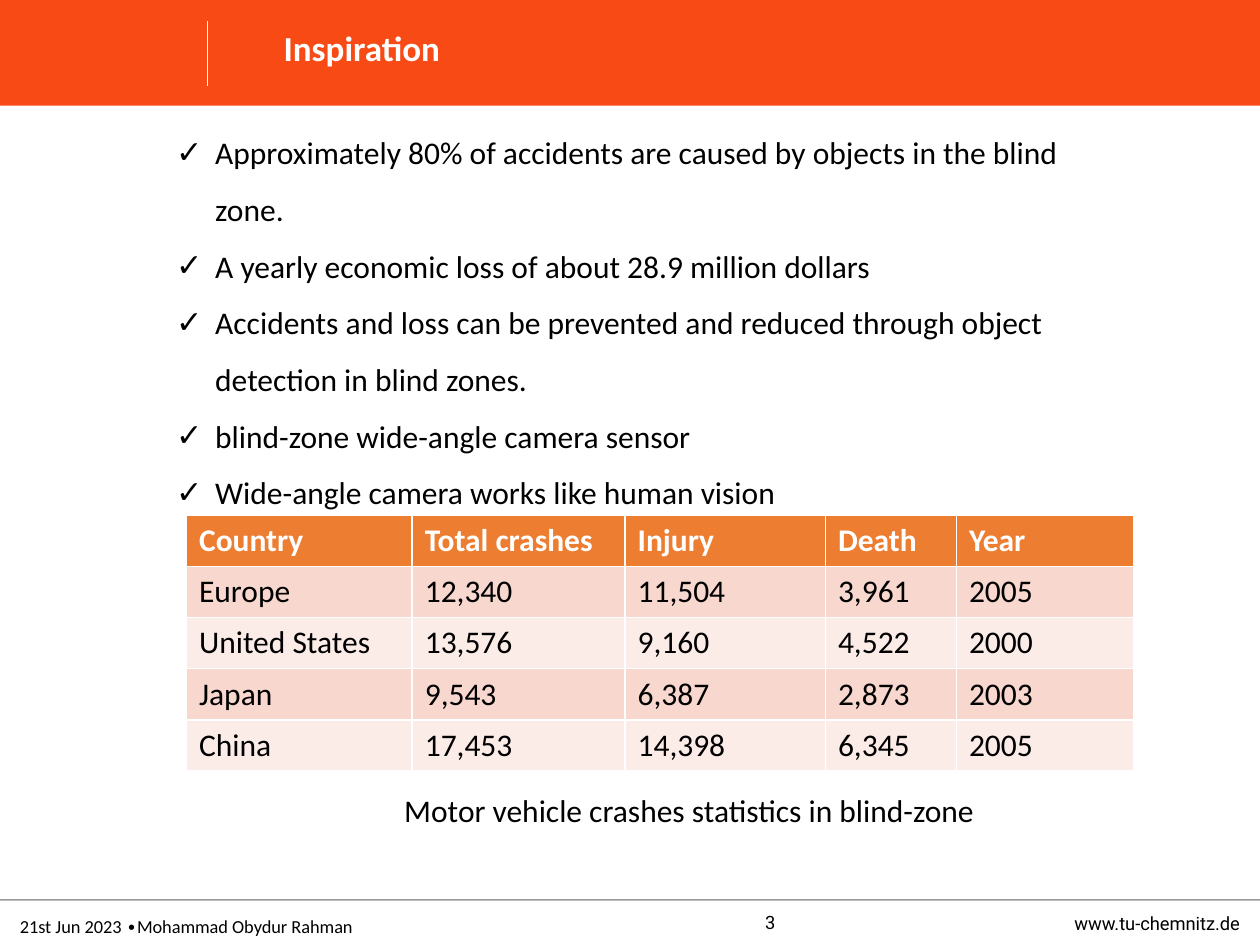
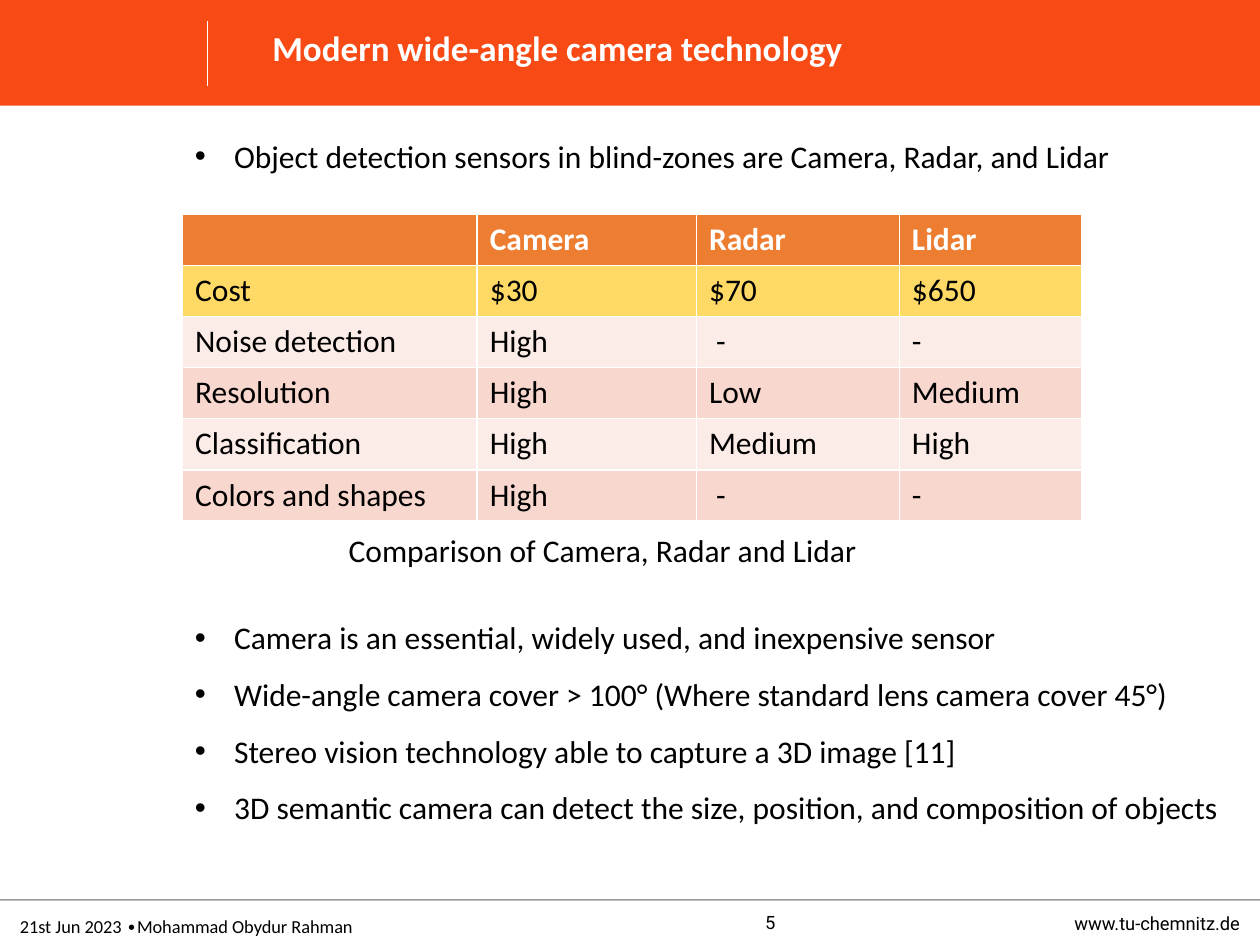
"""Two slides on blind-zone accidents and wide-angle camera technology."""
from lxml.etree import SubElement as Sub
from pptx import Presentation
from pptx.dml.color import RGBColor
from pptx.enum.shapes import MSO_CONNECTOR as CONN, MSO_SHAPE as SHAPE
from pptx.enum.text import MSO_ANCHOR as ANCHOR, PP_ALIGN as ALIGN
from pptx.oxml.ns import qn
from pptx.util import Cm, Pt

BAND = RGBColor(0xF8, 0x4A, 0x14)
HEADER = RGBColor(0xED, 0x7D, 0x31)
DARK_ROW = RGBColor(0xF8, 0xD7, 0xCE)
LIGHT_ROW = RGBColor(0xFC, 0xEC, 0xE8)
YELLOW = RGBColor(0xFF, 0xD9, 0x66)
BLACK = RGBColor(0, 0, 0)
WHITE = RGBColor(0xFF, 0xFF, 0xFF)

FOOTERS = [
    ("www.tu-chemnitz.de", (17.2, 18.14, 7.8, 0.93), "Roboto", ALIGN.RIGHT),
    (None, (9.7, 18.14, 11.66, 0.91), "Roboto", ALIGN.CENTER),
    ("21st Jun 2023 ∙Mohammad Obydur Rahman", (0.4, 18.21, 12, 0.93), "Calibri", ALIGN.LEFT),
]
RULES = [((0, 18.14, 25.4, 18.14), BLACK, 1, 40), ((4.19, 0.43, 4.19, 1.73), WHITE, 0.5, 100)]

SLIDES = [
    {
        "number": "3",
        "title": ("Inspiration", 6.05),
        "bullets": [
            ("✓", (3.3, 2.18, 19.08, 8.2), [
                "Approximately 80% of accidents are caused by objects in the blind zone.",
                "A yearly economic loss of about 28.9 million dollars",
                "Accidents and loss can be prevented and reduced through object detection in blind zones.",
                "blind-zone wide-angle camera sensor",
                "Wide-angle camera works like human vision",
            ]),
        ],
        "table_at": (3.76, 10.39),
        "widths": [4.55, 4.29, 4.04, 2.64, 3.58],
        "rows": [
            ["Country", "Total crashes", "Injury", "Death", "Year"],
            ["Europe", "12,340", "11,504", "3,961", "2005"],
            ["United States", "13,576", "9,160", "4,522", "2000"],
            ["Japan", "9,543", "6,387", "2,873", "2003"],
            ["China", "17,453", "14,398", "6,345", "2005"],
        ],
        "highlight": None,
        "caption": ("Motor vehicle crashes statistics in blind-zone", (7.9, 15.82, 12.14, 1.02)),
    },
    {
        "number": "5",
        "title": ("Modern wide-angle camera technology", 13.94),
        "bullets": [
            ("•", (3.68, 2.26, 21.7, 1.3), [
                "Object detection sensors in blind-zones are Camera, Radar, and Lidar",
            ]),
            ("•", (3.68, 11.96, 21.4, 5.64), [
                "Camera is an essential, widely used, and inexpensive sensor",
                "Wide-angle camera cover > 100° (Where standard lens camera cover 45°)",
                "Stereo vision technology able to capture a 3D image [11]",
                "3D semantic camera can detect the size, position, and composition of objects",
            ]),
        ],
        "table_at": (3.68, 4.32),
        "widths": [5.94, 4.42, 4.09, 3.68],
        "rows": [
            ["", "Camera", "Radar", "Lidar"],
            ["Cost", "$30", "$70", "$650"],
            ["Noise detection", "High", " -", "-"],
            ["Resolution", "High", "Low", "Medium"],
            ["Classification", "High", "Medium", "High"],
            ["Colors and shapes", "High", " -", "-"],
        ],
        "highlight": 1,
        "caption": ("Comparison of Camera, Radar and Lidar", (6.78, 10.59, 11.02, 1.02)),
    },
]


def style(tf, size=18, color=BLACK, bold=False, font="Calibri"):
    for p in tf.paragraphs:
        for r in p.runs:
            r.font.name, r.font.size, r.font.bold = font, Pt(size), bold
            r.font.color.rgb = color


def add_text(s, text, box, align=ALIGN.LEFT, inset=True, **look):
    tf = s.shapes.add_textbox(*map(Cm, box)).text_frame
    tf.word_wrap = True
    if not inset:
        tf.margin_left = tf.margin_right = tf.margin_top = tf.margin_bottom = 0
    tf.text = text
    for p in tf.paragraphs:
        p.alignment = align
    style(tf, **look)
    return tf


prs = Presentation()
prs.slide_width, prs.slide_height = Cm(25.4), Cm(19.05)

for data in SLIDES:
    s = prs.slides.add_slide(prs.slide_layouts[6])

    band = s.shapes.add_shape(SHAPE.RECTANGLE, 0, 0, prs.slide_width, Cm(2.13))
    band.shadow.inherit = False
    band.fill.solid()
    band.fill.fore_color.rgb = BAND
    band.line.fill.background()

    for ends, color, width, opacity in RULES:
        rule = s.shapes.add_connector(CONN.STRAIGHT, *map(Cm, ends))
        rule.line.color.rgb = color
        rule.line.width = Pt(width)
        if opacity < 100:
            clr = next(rule.line._ln.iter(qn("a:srgbClr")))
            Sub(clr, qn("a:alpha"), val=str(opacity * 1000))
        Sub(rule._element.spPr, qn("a:effectLst"))

    for text, box, font, align in FOOTERS:
        tf = add_text(s, text or data["number"], box, align, inset=False, size=10.5, font=font)
        tf.vertical_anchor = ANCHOR.MIDDLE

    title, width = data["title"]
    tf = add_text(s, title, (4.27, 0.64, width, 0.89), ALIGN.CENTER, inset=False,
                  size=20, color=WHITE, bold=True)
    tf.paragraphs[0].line_spacing = 0.9

    for mark, box, lines in data["bullets"]:
        tf = add_text(s, "\n".join(lines), box)
        for p in tf.paragraphs:
            p.line_spacing = 1.5
            pPr = p._p.get_or_add_pPr()
            pPr.set("marL", str(Cm(0.79)))
            pPr.set("indent", str(-Cm(0.79)))
            Sub(pPr, qn("a:buFont"), typeface="Arial")
            Sub(pPr, qn("a:buChar"), char=mark)

    rows, widths = data["rows"], data["widths"]
    left, top = data["table_at"]
    table = s.shapes.add_table(len(rows), len(widths), Cm(left), Cm(top),
                               Cm(sum(widths)), Cm(1.03 * len(rows))).table
    for column, width in zip(table.columns, widths):
        column.width = Cm(width)
    for i, row in enumerate(rows):
        if i == 0:
            fill = HEADER
        elif i == data["highlight"]:
            fill = YELLOW
        else:
            fill = DARK_ROW if i % 2 else LIGHT_ROW
        for j, text in enumerate(row):
            cell = table.cell(i, j)
            cell.fill.solid()
            cell.fill.fore_color.rgb = fill
            cell.text_frame.text = text
            style(cell.text_frame, color=BLACK if i else WHITE, bold=i == 0)

    add_text(s, *data["caption"])

prs.save("out.pptx")
